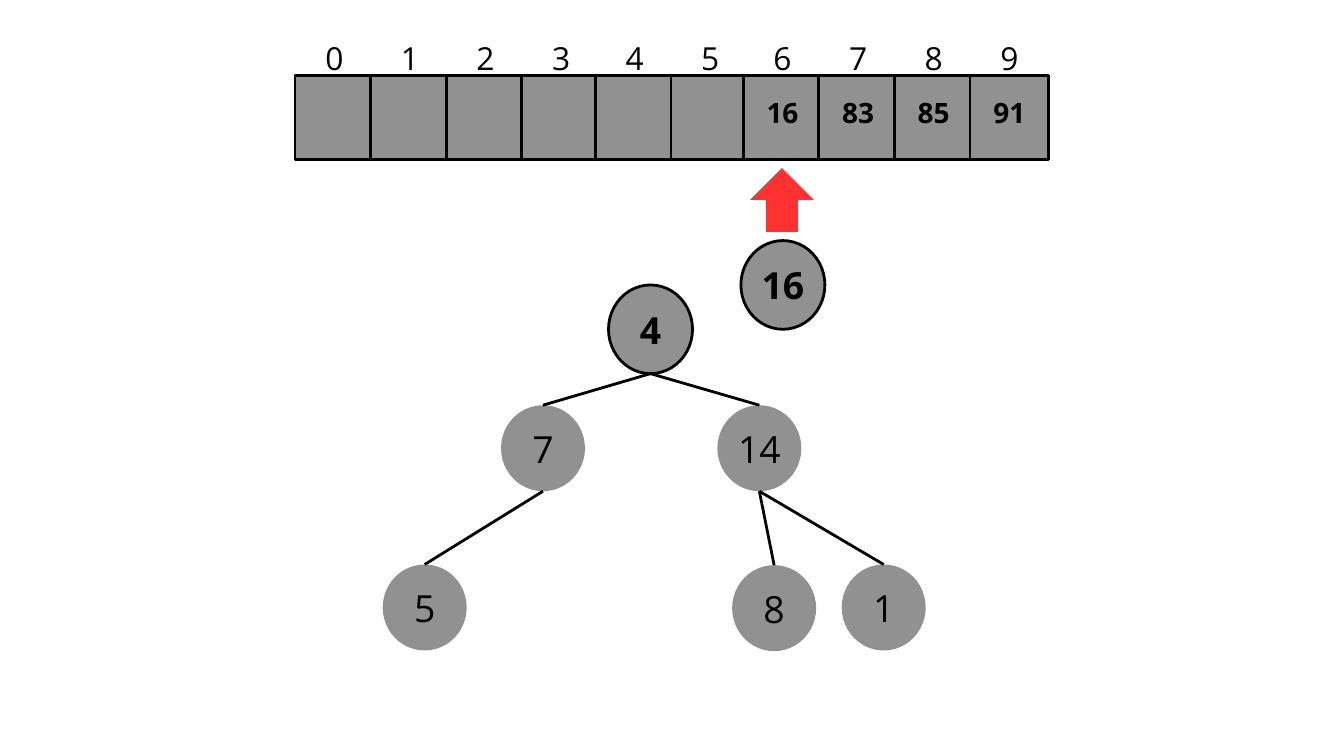
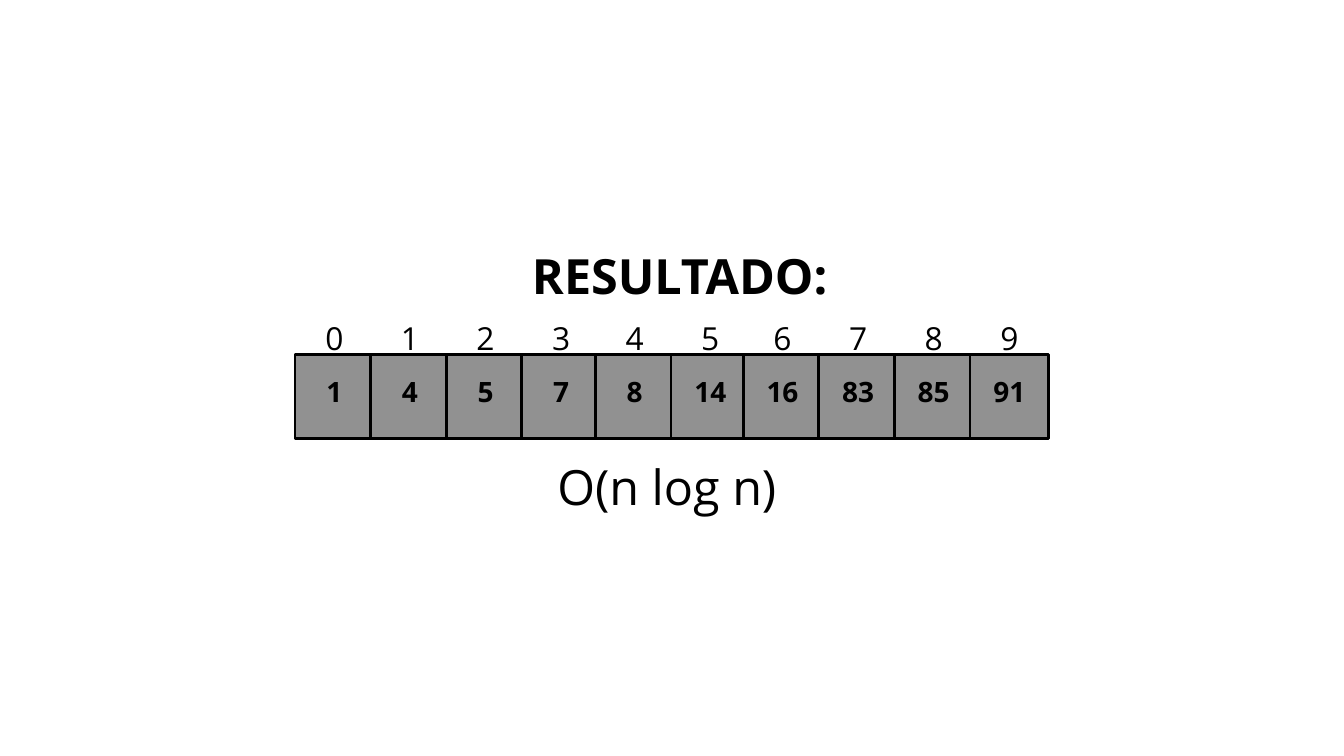
from dataclasses import dataclass

from lxml import etree
from pptx import Presentation
from pptx.dml.color import RGBColor as Rgb
from pptx.enum.shapes import MSO_CONNECTOR as Link, MSO_SHAPE as Form
from pptx.enum.text import MSO_ANCHOR as Anchor, MSO_AUTO_SIZE as Fit, PP_ALIGN as Align
from pptx.oxml.ns import qn
from pptx.util import Inches, Pt

# Grid: 20 columns by 11.25 rows, each one inch
COLS, ROWS = 20, 11.25


@dataclass(frozen=True)
class Theme:
    ink: Rgb = Rgb(0, 0, 0)
    gray: Rgb = Rgb(0x91, 0x91, 0x91)
    red: Rgb = Rgb(0xFF, 0x31, 0x31)
    font: str = "Open Sans"
    big: int = 52
    node: int = 40
    index: int = 34
    cell: int = 30
    line: int = 3
    lead: float = 1.4
    pad: float = 0.06


class Deck:
    def __init__(self, theme):
        self.theme = theme
        self.prs = Presentation()
        self.prs.slide_width = Inches(COLS)
        self.prs.slide_height = Inches(ROWS)
        self.slide = None

    def grid(self, x, y, w, h):
        wide, high = self.prs.slide_width, self.prs.slide_height
        return (round(x * wide / COLS), round(y * high / ROWS),
                round(w * wide / COLS), round(h * high / ROWS))

    def new(self, layout):
        self.slide = self.prs.slides.add_slide(self.prs.slide_layouts[layout])

    def label(self, shape, text, size, bold=False, pads=(0, 0, 0, 0), anchor=Anchor.TOP):
        frame = shape.text_frame
        frame.text = text
        frame.word_wrap = True
        frame.auto_size = Fit.NONE
        frame.vertical_anchor = anchor
        (frame.margin_left, frame.margin_top,
         frame.margin_right, frame.margin_bottom) = map(Inches, pads)
        para = frame.paragraphs[0]
        para.alignment = Align.CENTER
        para.line_spacing = Pt(size * self.theme.lead)
        for run in para.runs:
            font = run.font
            font.name, font.size, font.bold = self.theme.font, Pt(size), bold
            font.color.rgb = self.theme.ink

    def title(self, text, x, y, w, h):
        shape = self.slide.shapes.title
        shape.left, shape.top, shape.width, shape.height = self.grid(x, y, w, h)
        self.label(shape, text, self.theme.big, True)

    def text(self, text, size, x, y, w, h):
        self.label(self.slide.shapes.add_textbox(*self.grid(x, y, w, h)), text, size)

    def shape(self, form, fill, edge, x, y, w, h):
        shape = self.slide.shapes.add_shape(form, *self.grid(x, y, w, h))
        shape.shadow.inherit = False
        shape.fill.solid()
        shape.fill.fore_color.rgb = fill
        if edge:
            shape.line.color.rgb = self.theme.ink
            shape.line.width = Pt(self.theme.line)
        else:
            shape.line.fill.background()
        return shape

    def link(self, x1, y1, x2, y2):
        line = self.slide.shapes.add_connector(Link.STRAIGHT, *self.grid(x1, y1, x2, y2))
        line.line.color.rgb = self.theme.ink
        line.line.width = Pt(self.theme.line)
        etree.SubElement(line._element.spPr, qn("a:effectLst"))

    def node(self, text, mid, top, bold=False):
        """Draw a tree node and return its middle, top and bottom."""
        wide, high = 1.25, 1.32 if bold else 1.28
        shape = self.shape(Form.OVAL, self.theme.gray, bold, mid - wide / 2, top, wide, high)
        self.label(shape, text, self.theme.node, bold, (0, 0, 0, 0.11), Anchor.MIDDLE)
        return mid, top, top + high

    def array(self, values, top):
        """Draw a row of cells with their indexes above."""
        wide, high, step, slot = 1.17, 1.25, 1.125, 0.27
        pad = self.theme.pad
        for i, value in enumerate(values):
            # Cells sit slightly closer after the fourth and the sixth
            shift = 0.08 if i > 5 else 0.03 if i > 3 else 0
            left = 4.39 + i * step - shift
            cell = self.shape(Form.RECTANGLE, self.theme.gray, True, left, top, wide, high)
            if value:
                self.label(cell, value, self.theme.cell, True,
                           (pad, pad, pad, pad + 0.24), Anchor.MIDDLE)
            self.text(str(i), self.theme.index,
                      left + (wide - slot) / 2, top - 0.63, slot, 0.63)


def heap(deck):
    deck.new(6)
    deck.array([""] * 6 + ["16", "83", "85", "91"], 1.12)

    # Tree, with the node taken out beside it
    spots = {"4": (9.68, 4.24, True), "7": (8.08, 6.03), "14": (11.3, 6.03),
             "5": (6.32, 8.4), "16": (11.65, 3.58, True),
             "8": (11.52, 8.41), "1": (13.15, 8.4)}
    nodes = {key: deck.node(key, *spot) for key, spot in spots.items()}
    for child, parent in (("7", "4"), ("5", "7"), ("14", "4"), ("8", "14"), ("1", "14")):
        x1, y1, _ = nodes[child]
        x2, _, y2 = nodes[parent]
        deck.link(x1, y1, x2, y2)

    # Arrow to the cell being filled
    deck.shape(Form.UP_ARROW, deck.theme.red, False, 11.16, 2.5, 0.95, 0.95)


def result(deck):
    deck.new(5)
    deck.title("RESULTADO:", 7.73, 3.52, 4.77, 1.02)
    deck.array(["1", "4", "5", "7", "8", "14", "16", "83", "85", "91"], 5.28)
    deck.text("O(n log n)", deck.theme.big, 8.29, 6.65, 3.27, 0.97)


def main():
    deck = Deck(Theme())
    heap(deck)
    result(deck)
    deck.prs.save("out.pptx")


if __name__ == "__main__":
    main()
